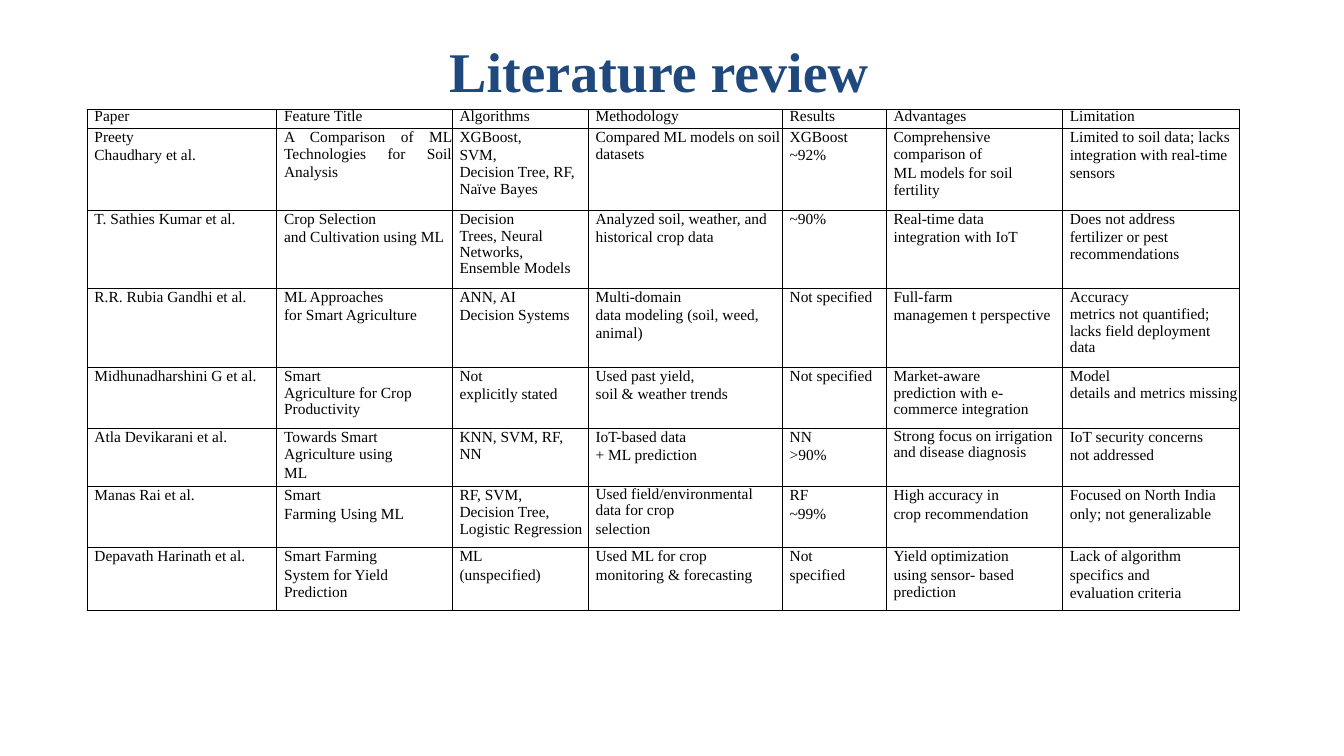
from pptx import Presentation
from pptx.dml.color import RGBColor
from pptx.enum.text import MSO_ANCHOR, PP_ALIGN
from pptx.oxml import parse_xml
from pptx.oxml.ns import nsdecls
from pptx.util import Cm, Pt

# Content: "\n" parts paragraphs, a leading "|" marks tight line spacing
TITLE = "Literature review"
HEAD = ["Paper", "Feature Title", "Algorithms", "Methodology", "Results",
        "Advantages", "Limitation"]
PAPERS = [
    ["Preety\nChaudhary et al.",
     "A Comparison of ML Technologies for Soil Analysis",
     "XGBoost,\nSVM,\n|Decision Tree, RF, Naïve Bayes",
     "Compared ML models on soil datasets",
     "XGBoost\n~92%",
     "Comprehensive comparison of\nML models for soil fertility",
     "Limited to soil data; lacks\nintegration with real-time\nsensors"],
    ["T. Sathies Kumar et al.",
     "Crop Selection\nand Cultivation using ML",
     "Decision\n|Trees, Neural Networks, Ensemble Models",
     "Analyzed soil, weather, and\nhistorical crop data",
     "~90%",
     "Real-time data\nintegration with IoT",
     "Does not address\nfertilizer or pest recommendations"],
    ["R.R. Rubia Gandhi et al.",
     "ML Approaches\nfor Smart Agriculture",
     "ANN, AI\nDecision Systems",
     "Multi-domain\ndata modeling (soil, weed, animal)",
     "Not specified",
     "Full-farm\nmanagemen t perspective",
     "Accuracy\n|metrics not quantified; lacks field deployment data"],
    ["Midhunadharshini G et al.",
     "Smart\n|Agriculture for Crop Productivity",
     "Not\nexplicitly stated",
     "Used past yield,\nsoil & weather trends",
     "Not specified",
     "Market-aware\n|prediction with e- commerce integration",
     "Model\n|details and metrics missing"],
    ["Atla Devikarani et al.",
     "Towards Smart Agriculture using\nML",
     "KNN, SVM, RF, NN",
     "IoT-based data\n+ ML prediction",
     "NN\n>90%",
     "|Strong focus on irrigation and disease diagnosis",
     "IoT security concerns\nnot addressed"],
    ["Manas Rai et al.",
     "Smart\nFarming Using ML",
     "RF, SVM,\n|Decision Tree, Logistic Regression",
     "|Used field/environmental data for crop\nselection",
     "RF\n~99%",
     "High accuracy in\ncrop recommendation",
     "Focused on North India\nonly; not generalizable"],
    ["Depavath Harinath et al.",
     "Smart Farming\nSystem for Yield Prediction",
     "ML\n(unspecified)",
     "Used ML for crop\nmonitoring & forecasting",
     "Not\nspecified",
     "Yield optimization\nusing sensor- based prediction",
     "Lack of algorithm\nspecifics and\nevaluation criteria"],
]
WIDTHS = [4.78, 4.42, 3.43, 4.89, 2.62, 4.44, 4.46]
HEIGHTS = [0.48, 2.06, 1.98, 1.98, 1.54, 1.47, 1.54, 1.57]

THEME = {
    "font": "Times New Roman",
    "title": RGBColor(0x1F, 0x49, 0x7D),
    "ink": RGBColor(0, 0, 0),
    "line": "000000",
    "big": 40,
    "small": 11,
}
INDENT = Cm(0.19)


def write(frame, text, size, color, bold=False, align=PP_ALIGN.LEFT,
          lead=None, gap=0, indent=0):
    frame.word_wrap = True
    for num, part in enumerate(text.split("\n")):
        para = frame.add_paragraph() if num else frame.paragraphs[0]
        if indent:
            props = para._p.get_or_add_pPr()
            props.set("marL", str(indent))
            props.set("indent", "0")
        para.alignment = align
        if lead:
            para.line_spacing = 0.95 if part.startswith("|") else Pt(lead)
        para.space_before = Pt(gap if num else 0)
        run = para.add_run()
        run.text = part.removeprefix("|")
        font = run.font
        font.name, font.size, font.bold = THEME["font"], Pt(size), bold
        font.color.rgb = color


def border(cell):
    props = cell._tc.get_or_add_tcPr()
    for num, side in enumerate(("lnL", "lnR", "lnT", "lnB")):
        props.insert(num, parse_xml(
            f'<a:{side} {nsdecls("a")} w="{Pt(0.5)}"><a:solidFill>'
            f'<a:srgbClr val="{THEME["line"]}"/></a:solidFill></a:{side}>'))


def main():
    deck = Presentation()
    deck.slide_width, deck.slide_height = Cm(33.87), Cm(19.05)
    slide = deck.slides.add_slide(deck.slide_layouts[6])

    # Title
    box = slide.shapes.add_textbox(Cm(0.6), Cm(0.79), Cm(32), Cm(1.96))
    write(box.text_frame, TITLE, THEME["big"], THEME["title"], bold=True,
          align=PP_ALIGN.CENTER)

    # Table of papers
    rows = [HEAD] + PAPERS
    table = slide.shapes.add_table(
        len(rows), len(HEAD), Cm(2.19), Cm(2.75),
        Cm(sum(WIDTHS)), Cm(sum(HEIGHTS))).table
    table.first_row = table.horz_banding = False
    for col, width in zip(table.columns, WIDTHS):
        col.width = Cm(width)
    for row, height in zip(table.rows, HEIGHTS):
        row.height = Cm(height)

    # Cells
    for r, row in enumerate(rows):
        for c, text in enumerate(row):
            cell = table.cell(r, c)
            cell.margin_left = cell.margin_right = 0
            cell.margin_top = cell.margin_bottom = 0
            cell.vertical_anchor = MSO_ANCHOR.TOP
            cell.fill.background()
            border(cell)
            full = (r, c) == (1, 1)
            write(cell.text_frame, text, THEME["small"], THEME["ink"],
                  align=PP_ALIGN.JUSTIFY if full else PP_ALIGN.LEFT,
                  lead=12.5 if r else 11.5, gap=0.6, indent=INDENT)

    deck.save("out.pptx")


if __name__ == "__main__":
    main()
